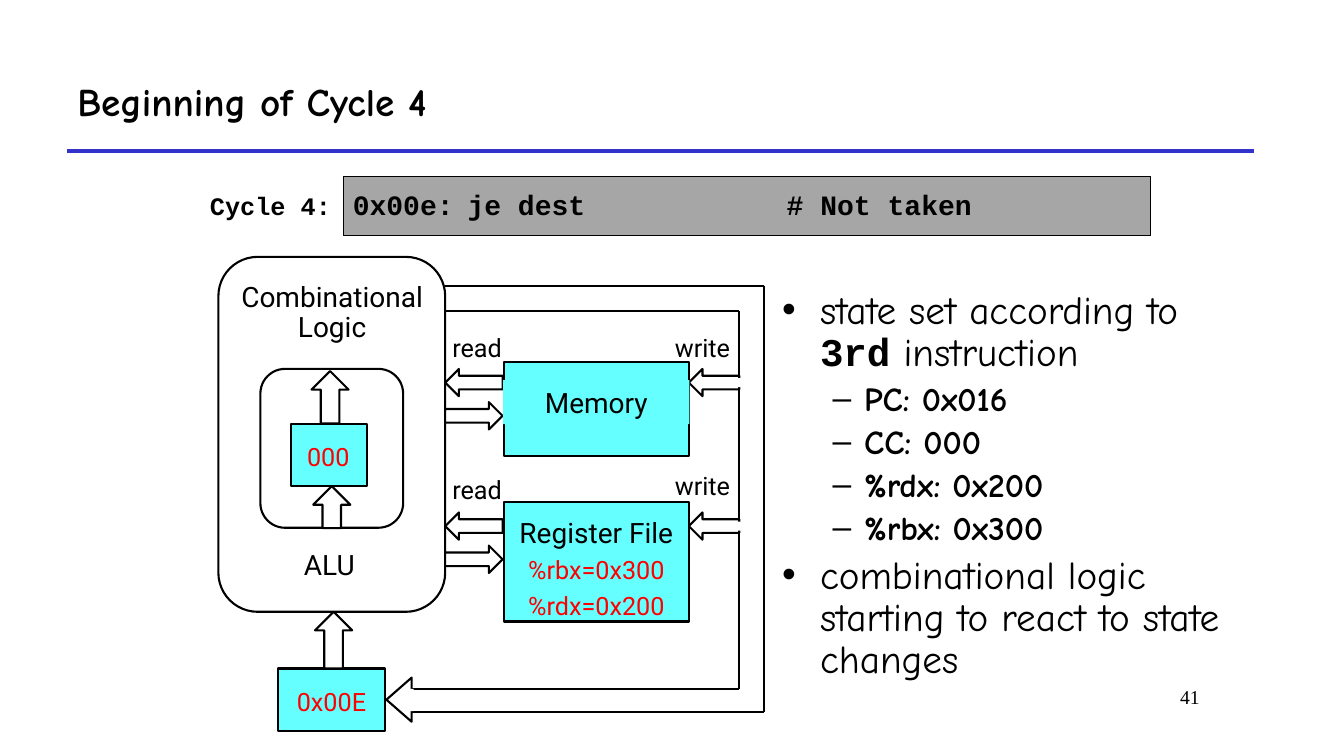
import pptx
import pptx.util
import pptx.dml.color
import pptx.enum.shapes
import pptx.enum.text
import pptx.oxml.ns
import lxml.etree

Pt = pptx.util.Pt
Shape = pptx.enum.shapes.MSO_SHAPE
Align = pptx.enum.text.PP_ALIGN
Anchor = pptx.enum.text.MSO_ANCHOR
qn = pptx.oxml.ns.qn

COLOURS = {name: pptx.dml.color.RGBColor.from_string(code) for name, code in {
    "black": "000000", "white": "FFFFFF", "cyan": "66FFFF",
    "red": "FF0000", "blue": "3333CC", "grey": "A6A6A6"}.items()}

deck = pptx.Presentation()
deck.slide_width, deck.slide_height = Pt(960), Pt(540)
page = deck.slides.add_slide(deck.slide_layouts[1])


def add_block(kind, place, fill, line=1.5, turn=0, adjust=()):
    """Add a plain shape; a line width of None means no outline."""
    block = page.shapes.add_shape(kind, *map(Pt, place))
    block.shadow.inherit = False
    block.fill.solid()
    block.fill.fore_color.rgb = COLOURS[fill]
    if line is None:
        block.line.fill.background()
    else:
        block.line.color.rgb = COLOURS["black"]
        block.line.width = Pt(line)
    block.rotation = turn
    for index, value in enumerate(adjust):
        block.adjustments[index] = value


def add_span(para, words, size, font, colour="black", bold=False):
    span = para.add_run()
    span.text = words
    span.font.size = Pt(size)
    span.font.name = font
    span.font.bold = bold
    span.font.color.rgb = COLOURS[colour]


# Title and body
title = page.shapes.title
title.left, title.top, title.width, title.height = Pt(48), Pt(36), Pt(848), Pt(72)
title.text_frame.vertical_anchor = Anchor.MIDDLE
title.text_frame.paragraphs[0].alignment = Align.LEFT
add_span(title.text_frame.paragraphs[0], "Beginning of Cycle 4", 28, "Comic Neue", bold=True)

body = page.placeholders[1]
body.left, body.top, body.width, body.height = Pt(551.5), Pt(204), Pt(345), Pt(294.5)
body.text_frame.auto_size = pptx.enum.text.MSO_AUTO_SIZE.NONE
body.text_frame.vertical_anchor = Anchor.TOP
# Bullet, left margin and hanging indent for each level
LEVELS = [("•", 27, 27), ("–", 58.5, 22.5)]
POINTS = [
    (0, [("state set according to ", "Comic Neue", False), ("3rd", "Courier New", True),
         (" instruction", "Comic Neue", False)]),
    (1, [("PC: 0x016", "Comic Neue", True)]),
    (1, [("CC: 000", "Comic Neue", True)]),
    (1, [("%rdx: 0x200", "Comic Neue", True)]),
    (1, [("%rbx: 0x300", "Comic Neue", True)]),
    (0, [("combinational logic starting to react to state changes", "Comic Neue", False)]),
]
for number, (level, spans) in enumerate(POINTS):
    para = body.text_frame.add_paragraph() if number else body.text_frame.paragraphs[0]
    size = 24 if level else 28
    mark, margin, hanging = LEVELS[level]
    properties = para._p.get_or_add_pPr()
    properties.set("marL", str(Pt(margin)))
    properties.set("indent", str(-Pt(hanging)))
    lxml.etree.SubElement(properties, qn("a:buChar")).set("char", mark)
    para.level = level
    para.line_spacing = 0.9
    para.space_before = Pt(0.2 * size if number else 0)
    for words, font, bold in spans:
        add_span(para, words, size, font, bold=bold)

# Storage and logic blocks
add_block(Shape.RECTANGLE, (360, 358.5, 132, 85.5), "cyan")
add_block(Shape.RECTANGLE, (360, 258.5, 132, 67), "cyan")
add_block(Shape.ROUNDED_RECTANGLE, (156, 183.5, 162, 253.5), "white", adjust=[0.173])
add_block(Shape.ROUNDED_RECTANGLE, (186, 263.5, 102, 113.5), "white", adjust=[0.173])
add_block(Shape.RECTANGLE, (208, 303, 54, 44.5), "cyan")
add_block(Shape.RECTANGLE, (198.5, 477.5, 76.5, 44.5), "cyan")
add_block(Shape.RECTANGLE, (245.5, 126, 576.5, 42.5), "grey", line=0)

# Title rule and write-back wires
WIRES = [
    (48, 108, 896, 108, "blue", 3),
    (318, 222, 528, 222, "black", 1.5),
    (318, 204, 546, 204, "black", 1.5),
    (528, 222, 528, 492, "black", 1.5),
    (546, 204, 546, 508.5, "black", 1.5),
    (288, 492, 528, 492, "black", 1.5),
    (288, 508.5, 546, 508.5, "black", 1.5),
]
for *ends, colour, width in WIRES:
    wire = page.shapes.add_connector(pptx.enum.shapes.MSO_CONNECTOR.STRAIGHT, *map(Pt, ends))
    wire.line.color.rgb = COLOURS[colour]
    wire.line.width = Pt(width)
    lxml.etree.SubElement(wire._element.spPr, qn("a:effectLst"))

# Read and write arrows beside each storage block
for top in (263.5, 366):
    add_block(Shape.RIGHT_ARROW, (318, top, 41, 19.5), "white", turn=180)
    add_block(Shape.RIGHT_ARROW, (318, top + 23.75, 41, 19.5), "white")
    add_block(Shape.RIGHT_ARROW, (492, top, 36, 19.5), "white", turn=180)
    add_block(Shape.RECTANGLE, (525, top + 6.5, 6, 6.5), "white", line=None)

# Arrow into the program counter, then the upward arrows
add_block(Shape.RIGHT_ARROW, (276, 484, 18, 31.5), "white", turn=180, adjust=[0.5, 1])
add_block(Shape.RECTANGLE, (288, 492, 7.5, 16), "white", line=None)
for place in [(218, 444, 40.5, 26.5), (217, 270.5, 37.5, 26.5), (222, 349, 30, 26.5)]:
    add_block(Shape.RIGHT_ARROW, place, "white", turn=270)

# Labels: place, alignment, line spacing, inset, fill, lines of text
PLAIN = (7.2, 3.6)
NONE = (0, 0)
LABELS = [
    ((359.5, 365, 133, 83.5), Align.CENTER, 1, PLAIN, None,
     [("Register File", 20, "Roboto", "black"), ("%rbx=0x300", 18, "Roboto", "red"),
      ("%rdx=0x200", 18, "Roboto", "red")]),
    ((359.5, 271.5, 133, 31.5), Align.CENTER, 1, PLAIN, "cyan",
     [("Memory", 20, "Roboto", "black")]),
    ((159, 198.5, 156.5, 51), Align.CENTER, 0.9, PLAIN, None,
     [("Combinational Logic", 20, "Roboto", "black")]),
    ((157, 390, 156.5, 29), Align.CENTER, 0.9, PLAIN, None, [("ALU", 20, "Roboto", "black")]),
    ((192.5, 312, 84, 29), Align.CENTER, 1, PLAIN, None, [("000", 18, "Roboto", "red")]),
    ((198.5, 487, 76.5, 29), Align.CENTER, 1, PLAIN, None, [("0x00E", 18, "Roboto", "red")]),
    ((316, 233.5, 56, 29), Align.LEFT, 1, PLAIN, None, [("read", 18, "Roboto", "black")]),
    ((316, 335.5, 56, 29), Align.LEFT, 1, PLAIN, None, [("read", 18, "Roboto", "black")]),
    ((475, 233.5, 70.5, 29), Align.LEFT, 1, PLAIN, None, [("write", 18, "Roboto", "black")]),
    ((475, 332.5, 70.5, 29), Align.LEFT, 1, PLAIN, None, [("write", 18, "Roboto", "black")]),
    ((150, 138.5, 92, 20), Align.LEFT, 0.9, NONE, None, [("Cycle 4:", 18, "Courier New", "black")]),
    ((252, 137, 78, 22), Align.LEFT, 0.9, NONE, None, [("0x00e:", 20, "Courier New", "black")]),
    ((334, 137, 100, 22), Align.LEFT, 0.9, NONE, None, [("je dest", 20, "Courier New", "black")]),
    ((562, 137, 150, 22), Align.LEFT, 0.9, NONE, None, [("# Not taken", 20, "Courier New", "black")]),
    ((728, 486, 136, 36), Align.RIGHT, 1, PLAIN, None, [("41", 14, "Times New Roman", "black")]),
]
for place, alignment, spacing, (side, edge), fill, lines in LABELS:
    label = page.shapes.add_textbox(*map(Pt, place))
    if fill:
        label.fill.solid()
        label.fill.fore_color.rgb = COLOURS[fill]
    frame = label.text_frame
    frame.word_wrap = True
    frame.margin_left = frame.margin_right = Pt(side)
    frame.margin_top = frame.margin_bottom = Pt(edge)
    for number, (words, size, font, colour) in enumerate(lines):
        para = frame.add_paragraph() if number else frame.paragraphs[0]
        para.alignment = alignment
        para.line_spacing = spacing
        para.space_before = Pt(0.2 * size if number else 0)
        add_span(para, words, size, font, colour, bold=font == "Courier New")

deck.save("out.pptx")
